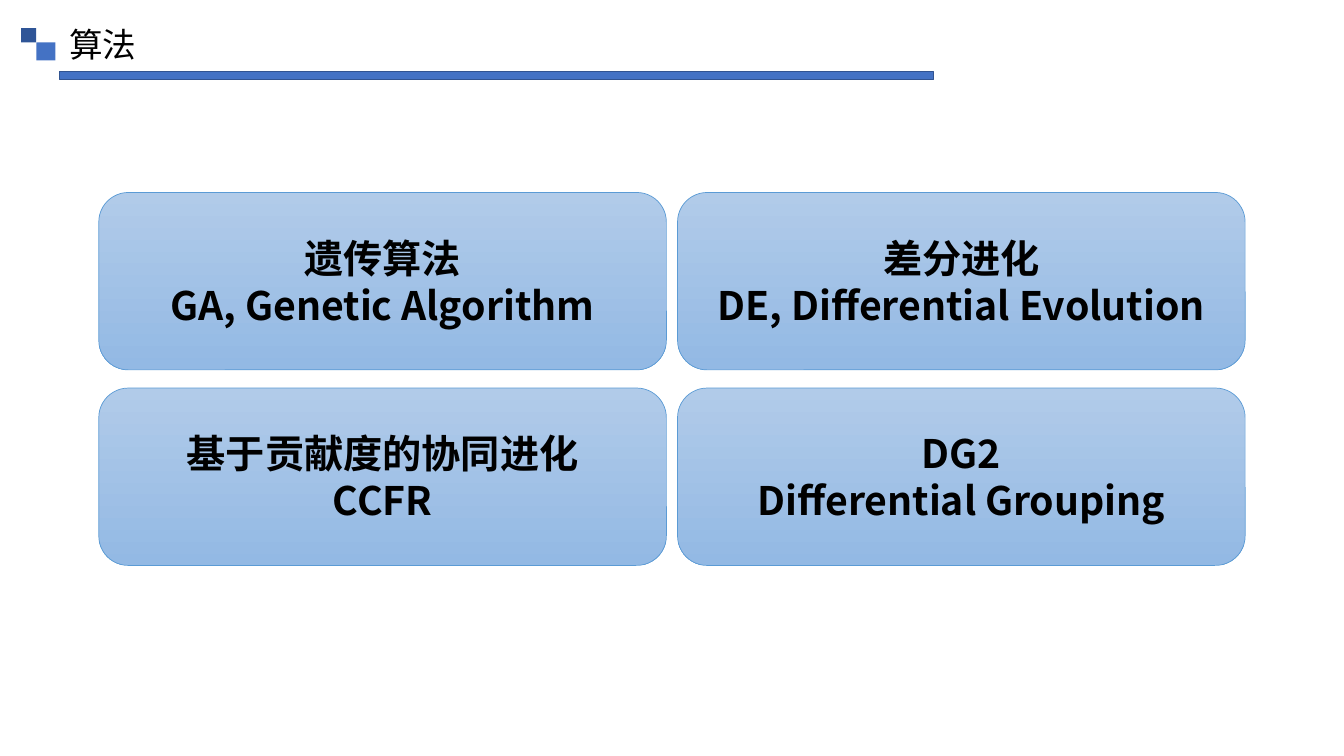
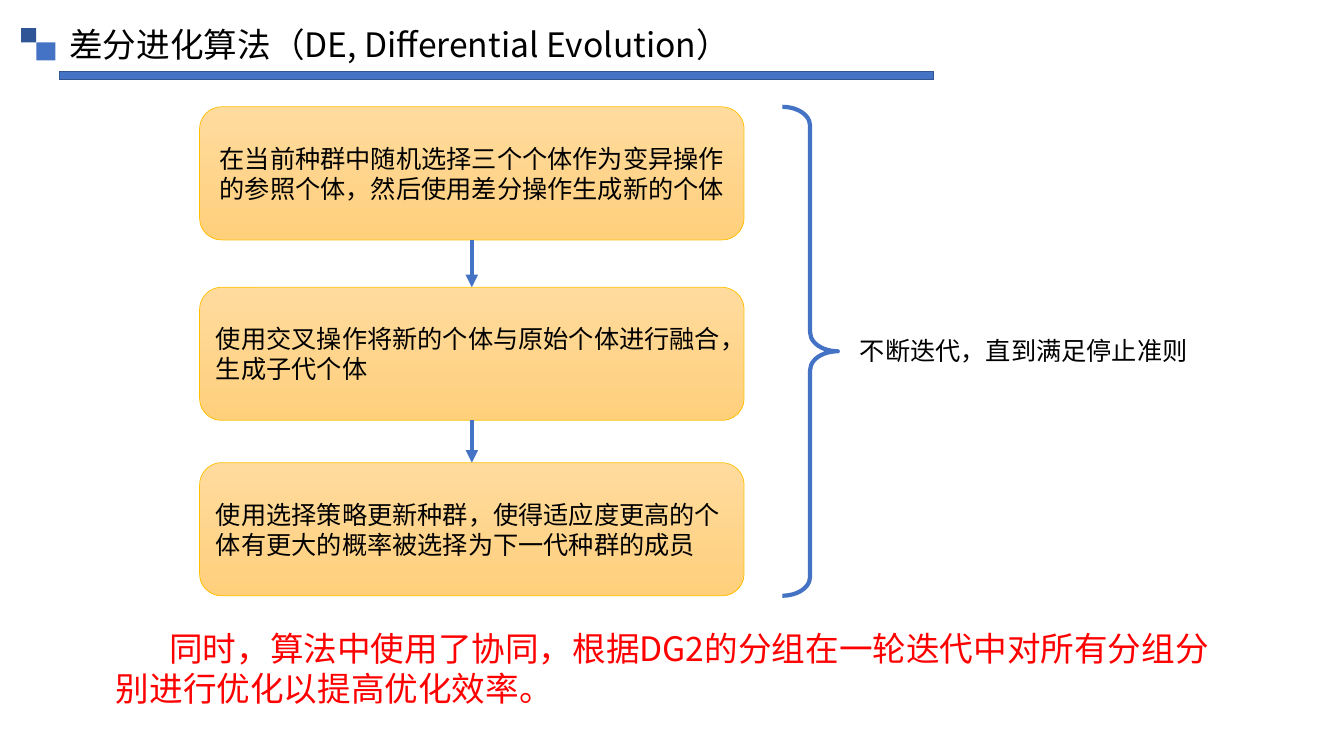
import pptx
import pptx.dml.color
import pptx.enum.shapes
import pptx.enum.text
import pptx.oxml.ns
import pptx.util
from lxml import etree

PX = 9144  # EMU per px, 100 px to the inch
FONT = "Noto Sans CJK SC"
BLUE, DARK_BLUE, BAR_EDGE = "4472C4", "2F5597", "325491"
BLACK, RED = "000000", "FF0000"
CARD_STYLE = ("B1CBE9", "93B9E4", "5B9BD5")
STEP_STYLE = ("FFDB9E", "FFD07C", "FFC000")

SHAPE = pptx.enum.shapes.MSO_SHAPE
ALIGN = pptx.enum.text.PP_ALIGN
ANCHOR = pptx.enum.text.MSO_ANCHOR


def rgb(value):
    return pptx.dml.color.RGBColor.from_string(value)


def px(*values):
    return [pptx.util.Emu(value * PX) for value in values]


def add_xml(parent, tag, **attributes):
    return etree.SubElement(parent, pptx.oxml.ns.qn(tag), **attributes)


class Deck:
    def __init__(self):
        self.presentation = pptx.Presentation()
        self.presentation.slide_width, self.presentation.slide_height = px(1333, 750)
        self.slide = None

    def new_slide(self, title):
        self.slide = self.presentation.slides.add_slide(self.presentation.slide_layouts[6])
        self.shape(SHAPE.RECTANGLE, (59, 71, 867, 8), BLUE, BAR_EDGE, 1)
        self.shape(SHAPE.RECTANGLE, (36, 42, 19, 18), BLUE)
        self.shape(SHAPE.RECTANGLE, (21, 28, 15, 14), DARK_BLUE)
        self.text((59, 19, 784, 50), title, 24)

    def shape(self, kind, box, fill=None, edge=None, edge_width=0):
        shape = self.slide.shapes.add_shape(kind, *px(*box))
        shape.shadow.inherit = False
        if fill:
            shape.fill.solid()
            shape.fill.fore_color.rgb = rgb(fill)
        else:
            shape.fill.background()
        if edge:
            shape.line.color.rgb = rgb(edge)
            shape.line.width = pptx.util.Pt(edge_width)
        else:
            shape.line.fill.background()
        return shape

    def set_text(self, frame, lines, size, color=BLACK, bold=False, align=ALIGN.LEFT, indent=0):
        """Fill a text frame, one paragraph per line; indent is for the first line."""
        frame.word_wrap = True
        frame.text = lines
        for paragraph in frame.paragraphs:
            paragraph.alignment = align
            font = paragraph.font
            font.size = pptx.util.Pt(size)
            font.bold = bold
            font.color.rgb = rgb(color)
            font.name = FONT
            properties = paragraph._p.get_or_add_pPr()
            properties.set("indent", str(indent * PX))
            add_xml(properties.find(pptx.oxml.ns.qn("a:defRPr")), "a:ea", typeface=FONT)

    def text(self, box, lines, size, color=BLACK, indent=0):
        frame = self.slide.shapes.add_textbox(*px(*box)).text_frame
        self.set_text(frame, lines, size, color, indent=indent)

    def card(self, box, style, lines, size, bold=False, align=ALIGN.CENTER):
        """Rounded box with a vertical gradient."""
        top_color, bottom_color, edge = style
        card = self.shape(SHAPE.ROUNDED_RECTANGLE, box, top_color, edge, 0.5)
        card.fill.gradient()
        card.fill.gradient_angle = 270
        for stop, color in zip(card.fill.gradient_stops, (top_color, bottom_color)):
            stop.color.rgb = rgb(color)
        card.text_frame.vertical_anchor = ANCHOR.MIDDLE
        self.set_text(card.text_frame, lines, size, bold=bold, align=align)
        return card

    def arrow_down(self, upper, lower):
        arrow = self.slide.shapes.add_connector(
            pptx.enum.shapes.MSO_CONNECTOR.STRAIGHT, 0, 0, 0, 0)
        arrow.begin_connect(upper, 2)
        arrow.end_connect(lower, 0)
        arrow.line.color.rgb = rgb(BLUE)
        arrow.line.width = pptx.util.Pt(3)
        add_xml(arrow.line._get_or_add_ln(), "a:tailEnd", type="triangle")
        add_xml(arrow._element.spPr, "a:effectLst")

    def brace(self, box):
        brace = self.shape(SHAPE.RIGHT_BRACE, box, None, BLUE, 3)
        brace.adjustments[0] = 0.34


def algorithms_slide(deck):
    deck.new_slide("算法")
    algorithms = [
        "遗传算法\nGA, Genetic Algorithm",
        "差分进化\nDE, Differential Evolution",
        "基于贡献度的协同进化\nCCFR",
        "DG2\nDifferential Grouping",
    ]
    for index, algorithm in enumerate(algorithms):
        row, column = divmod(index, 2)
        box = (98 + column * 574, 191 + row * 194, 563, 176)
        deck.card(box, CARD_STYLE, algorithm, 28, bold=True)


def evolution_slide(deck):
    deck.new_slide("差分进化算法（DE, Differential Evolution）")
    steps = [
        (106, ALIGN.CENTER, "在当前种群中随机选择三个个体作为变异操作的参照个体，然后使用差分操作生成新的个体"),
        (285, ALIGN.LEFT, "使用交叉操作将新的个体与原始个体进行融合，生成子代个体"),
        (459, ALIGN.LEFT, "使用选择策略更新种群，使得适应度更高的个体有更大的概率被选择为下一代种群的成员"),
    ]
    cards = [deck.card((198, top, 540, 132), STEP_STYLE, step, 18, align=align)
             for top, align, step in steps]
    for upper, lower in zip(cards, cards[1:]):
        deck.arrow_down(upper, lower)
    deck.brace((776, 106, 55, 485))
    deck.text((843, 328, 353, 40), "不断迭代，直到满足停止准则", 18)
    deck.text((105, 618, 1112, 91),
              "同时，算法中使用了协同，根据DG2的分组在一轮迭代中对所有分组分别进行优化以提高优化效率。",
              24, RED, indent=53)


def main():
    deck = Deck()
    algorithms_slide(deck)
    evolution_slide(deck)
    deck.presentation.save("out.pptx")


if __name__ == "__main__":
    main()
